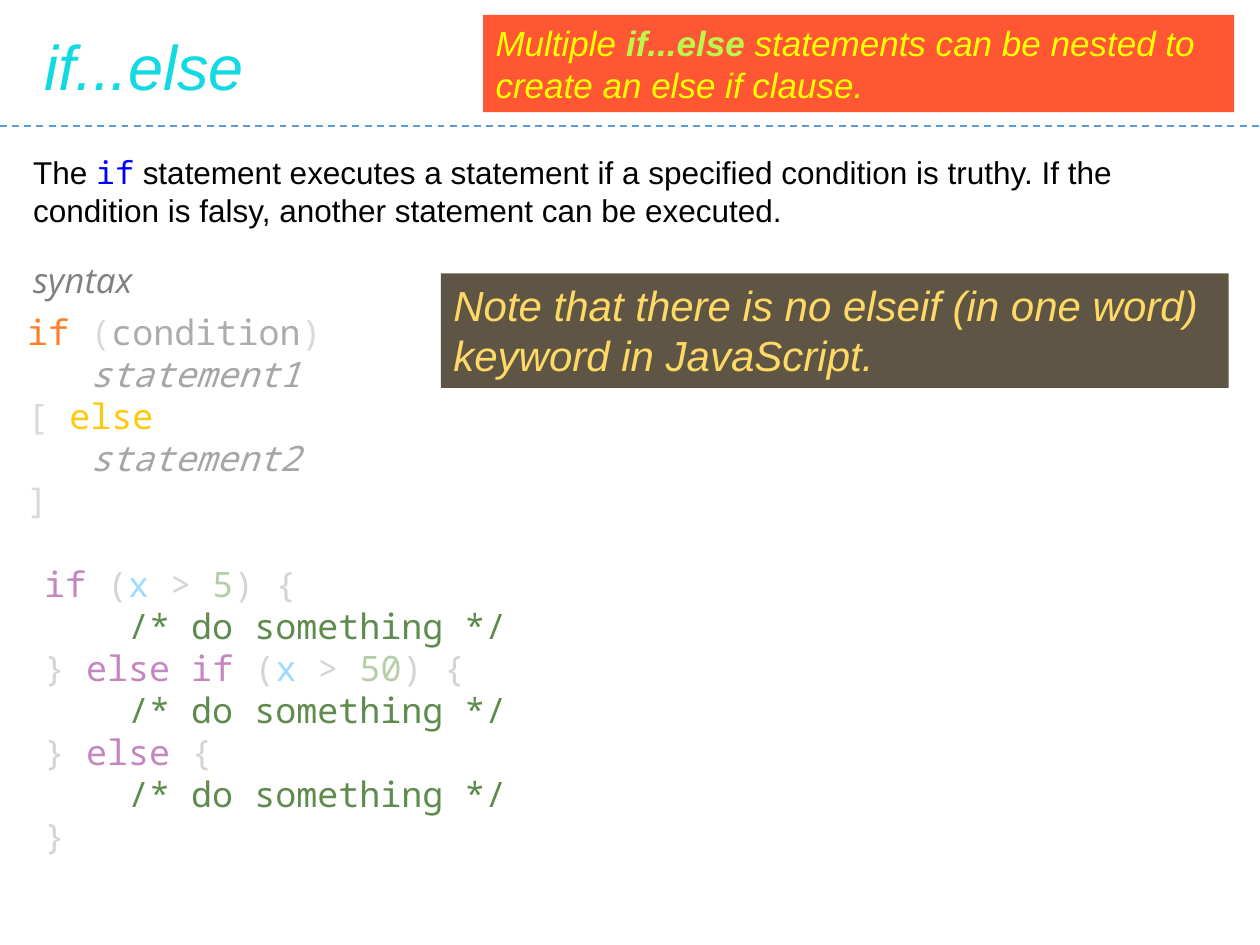
from pptx import Presentation
from pptx.dml.color import RGBColor
from pptx.enum.dml import MSO_LINE
from pptx.enum.shapes import MSO_CONNECTOR, MSO_SHAPE
from pptx.enum.text import MSO_ANCHOR, MSO_AUTO_SIZE, PP_ALIGN
from pptx.oxml import parse_xml
from pptx.oxml.ns import nsdecls
from pptx.util import Cm, Pt

SANS, MONO, LABEL = "Arial", "Noto Sans Mono", "Open Sans"

CYAN = RGBColor(0x13, 0xD9, 0xE3)
BLACK = RGBColor(0, 0, 0)
BLUE = RGBColor(0, 0, 0xFF)
GRAY = RGBColor(0x80, 0x80, 0x80)
RULE = RGBColor(0x5B, 0x9B, 0xD5)
BROWN = RGBColor(0x5E, 0x55, 0x44)
GOLD = RGBColor(0xFF, 0xD9, 0x66)
RED = RGBColor(0xFF, 0x57, 0x33)
YELLOW = RGBColor(0xFF, 0xFF, 0)
LIME = RGBColor(0xBB, 0xF7, 0x4F)
ORANGE = RGBColor(0xFF, 0x7F, 0x27)
AMBER = RGBColor(0xFF, 0xC9, 0x0E)
BRACKET = RGBColor(0xD9, 0xD9, 0xD9)
CONDITION = RGBColor(0xAF, 0xAB, 0xAB)
STATEMENT = RGBColor(0xA6, 0xA6, 0xA6)
KEYWORD = RGBColor(0xC5, 0x86, 0xC0)
PUNCT = RGBColor(0xD4, 0xD4, 0xD4)
VARIABLE = RGBColor(0x9C, 0xDC, 0xFE)
NUMBER = RGBColor(0xB5, 0xCE, 0xA8)
COMMENT = RGBColor(0x60, 0x8B, 0x4E)

# Each text is a list of lines; a line is a list of (text, colour, changes).
TITLE = [[("if...else", CYAN)]]
INTRO = [[
    ("The ", BLACK),
    ("if", BLUE, {"name": MONO}),
    (" statement executes a statement if a specified condition is truthy. "
     "If the condition is falsy, another statement can be executed.", BLACK),
]]
SYNTAX_LABEL = [[("syntax", GRAY)]]
SYNTAX = [
    [("if ", ORANGE), ("(", BRACKET), ("condition", CONDITION), (")", BRACKET)],
    [("   statement1", STATEMENT, {"italic": True})],
    [("[ ", BRACKET), ("else", AMBER)],
    [("   statement2", STATEMENT, {"italic": True})],
    [("]", BRACKET)],
]
NOTE = [[("Note that there is no elseif (in one word) keyword in JavaScript.", GOLD)]]
NESTING = [[
    ("Multiple ", YELLOW),
    ("if...else ", LIME, {"bold": True}),
    ("statements can be nested to create an else if clause.", YELLOW),
]]
DO_SOMETHING = [("    /* do something */", COMMENT)]


def test(limit):
    """Runs of a condition that compares x with a limit."""
    return [(" (", PUNCT), ("x", VARIABLE), (" > ", PUNCT),
            (limit, NUMBER), (") {", PUNCT)]


EXAMPLE = [
    [("if", KEYWORD), *test("5")],
    DO_SOMETHING,
    [("} ", PUNCT), ("else if", KEYWORD), *test("50")],
    DO_SOMETHING,
    [("} ", PUNCT), ("else", KEYWORD), (" {", PUNCT)],
    DO_SOMETHING,
    [("}", PUNCT)],
]

CODE = {"name": MONO, "size": Pt(20)}
# (lines, font, left, top, width, height in cm)
TEXTS = [
    (INTRO, {"name": SANS, "size": Pt(18)}, (0.42, 2.96, 24.56, 1.8)),
    (SYNTAX_LABEL, {"name": LABEL, "size": Pt(20), "italic": True}, (0.42, 5.08, 24.56, 1.11)),
    (SYNTAX, CODE, (0.3, 6.14, 24.56, 4.7)),
    (EXAMPLE, CODE, (0.64, 11.22, 18.84, 6.4)),
]
# (lines, font, box in cm, fill)
CALLOUTS = [
    (NOTE, {"name": SANS, "size": Pt(24), "italic": True}, (8.89, 5.51, 15.88, 2.31), BROWN),
    (NESTING, {"name": SANS, "size": Pt(20), "italic": True}, (9.74, 0.3, 15.14, 1.96), RED),
]


def write(sp, lines, font, anchor=MSO_ANCHOR.TOP):
    tf = sp.text_frame
    frame = {"word_wrap": True, "auto_size": MSO_AUTO_SIZE.NONE, "vertical_anchor": anchor}
    for key, value in frame.items():
        setattr(tf, key, value)
    for i, line in enumerate(lines):
        p = tf.add_paragraph() if i else tf.paragraphs[0]
        p.alignment = PP_ALIGN.LEFT
        for text, color, *changes in line:
            r = p.add_run()
            r.text = text
            r.font.color.rgb = color
            for key, value in {**font, **(changes[0] if changes else {})}.items():
                setattr(r.font, key, value)


def main():
    prs = Presentation()
    prs.slide_width, prs.slide_height = Cm(25.4), Cm(19.05)
    s = prs.slides.add_slide(prs.slide_layouts[5])

    title = s.shapes.title
    title.left, title.top, title.width, title.height = map(Cm, (0.64, 0.43, 23.93, 1.8))
    write(title, TITLE, {"name": SANS, "size": Pt(36), "italic": True})

    rule = s.shapes.add_connector(MSO_CONNECTOR.STRAIGHT, 0, Cm(2.54), prs.slide_width, Cm(2.54))
    rule.line.color.rgb = RULE
    rule.line.width = Pt(1)
    rule.line.dash_style = MSO_LINE.DASH
    rule._element.spPr.append(parse_xml(f"<a:effectLst {nsdecls('a')}/>"))

    for lines, font, box in TEXTS:
        write(s.shapes.add_textbox(*map(Cm, box)), lines, font)

    for lines, font, box, fill in CALLOUTS:
        sp = s.shapes.add_shape(MSO_SHAPE.RECTANGLE, *map(Cm, box))
        sp.shadow.inherit = False
        sp.fill.solid()
        sp.fill.fore_color.rgb = fill
        sp.line.fill.background()
        write(sp, lines, font)

    prs.save("out.pptx")


if __name__ == "__main__":
    main()
